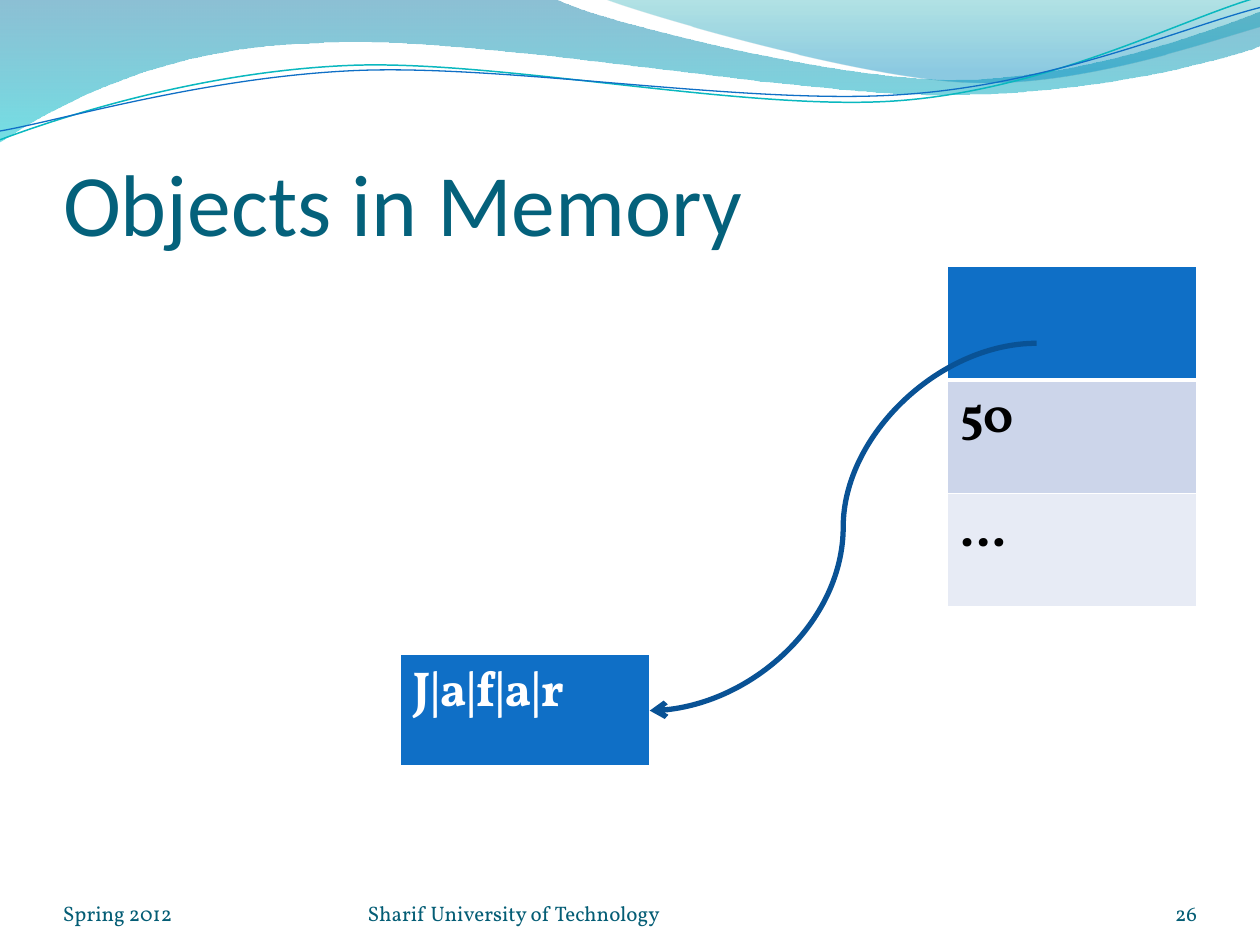
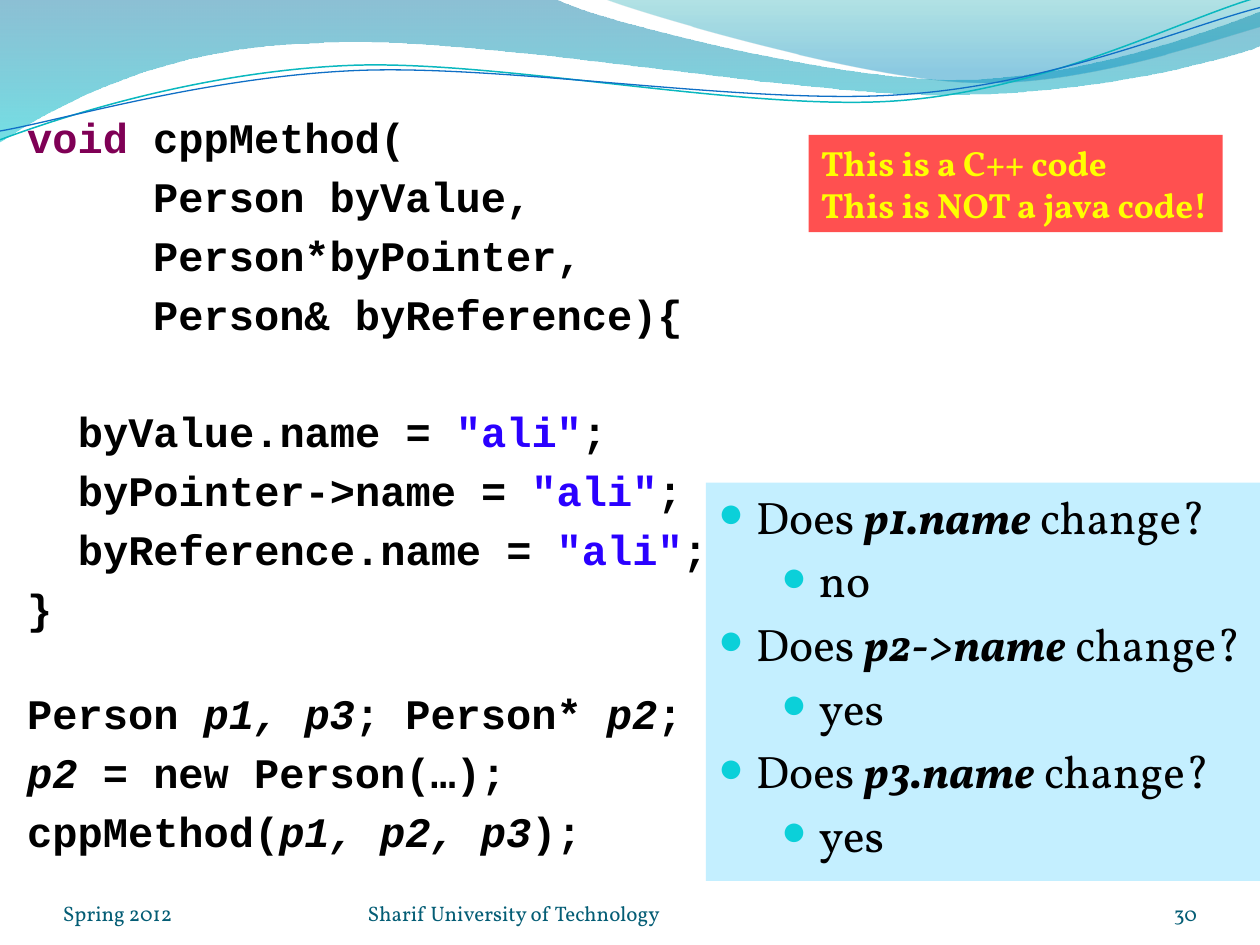
from dataclasses import dataclass

import pptx
import pptx.dml.color
import pptx.enum.shapes
import pptx.enum.text
import pptx.oxml
import pptx.oxml.ns
import pptx.oxml.xmlchemy
import pptx.util

Cm = pptx.util.Cm
Pt = pptx.util.Pt
ANCHOR = pptx.enum.text.MSO_ANCHOR
ALIGN = pptx.enum.text.PP_ALIGN


@dataclass(frozen=True)
class Theme:
    heading_font: str = "Calibri"
    body_font: str = "Vollkorn"
    code_font: str = "Courier New"
    title_size: int = 50
    cell_size: int = 28
    question_size: int = 26
    code_size: int = 24
    warning_size: int = 20
    footer_size: int = 12
    title: str = "04617B"
    footer: str = "045D75"
    black: str = "000000"
    white: str = "FFFFFF"
    blue: str = "0F6FC6"
    teal: str = "0AB8BF"
    arrow: str = "095295"
    bands: tuple = ("CCD5EA", "E7EBF5")
    keyword: str = "7F0055"
    literal: str = "2A00FF"
    warning_fill: str = "FF5050"
    warning_text: str = "FFFF00"
    question_fill: str = "C4EFFF"
    bullet: str = "0BD0D9"


THEME = Theme()


@dataclass(frozen=True)
class Box:
    """A rectangle in centimetres."""
    left: float
    top: float
    width: float
    height: float

    def lengths(self):
        return [Cm(v) for v in (self.left, self.top, self.width, self.height)]


PAGE = Box(0, 0, 25.4, 19.05)
TITLE = Box(1.27, 1.95, 22.86, 3.18)
FOOTER = Box(1.27, 17.65, 22.86, 1.02)

# Wave outlines: a start, then steps of one point (line) or three (curve),
# measured in tenths of the page width.
WAVE_FILLS = [
    ([(0, 0),
      [(4.4, -0.01)],
      [(4.76, 0.17), (6.64, 0.63), (7.58, 0.63)],
      [(8.53, 0.63), (9.58, 0.26), (10, 0.09)],
      [(10.01, 0.36)],
      [(9.83, 0.44), (8.7, 0.76), (7.46, 0.75)],
      [(6.22, 0.75), (3.82, 0.28), (2.57, 0.34)],
      [(1.29, 0.36), (0.46, 0.83), (-0.01, 1.13)],
      [(0, 0)]],
     [(0, "0074A1", 45), (1, "00C6CF", 55)]),
    ([(4.79, -0.01),
      [(5.09, 0.11), (6.82, 0.62), (7.69, 0.65)],
      [(8.56, 0.69), (9.61, 0.32), (10, 0.21)],
      [(10, 0)],
      [(4.79, -0.01)]],
     [(0, "00A1A9", 30), (0.8, "008BBF", 45)]),
]
WAVE_LINES = [
    ([(0, 1.11),
      [(0.48, 0.93), (1.58, 0.57), (2.77, 0.52)],
      [(3.95, 0.47), (5.93, 0.89), (7.13, 0.8)],
      [(8.33, 0.71), (9.38, 0.15), (9.98, -0.02)]],
     THEME.teal, 0.85),
    ([(0, 1.04),
      [(0.47, 0.96), (1.64, 0.61), (2.83, 0.56)],
      [(4.03, 0.51), (5.97, 0.84), (7.17, 0.75)],
      [(8.36, 0.67), (9.41, 0.21), (10, 0.06)]],
     THEME.blue, 0.75),
]


def rgb(code):
    return pptx.dml.color.RGBColor.from_string(code)


def add_xml(parent, tag, **attributes):
    child = pptx.oxml.xmlchemy.OxmlElement(tag)
    for name, value in attributes.items():
        child.set(name, str(value))
    parent.append(child)
    return child


def style_span(span, font, size, color, bold=False, italic=False):
    span.font.name = font
    span.font.size = Pt(size)
    span.font.color.rgb = rgb(color)
    span.font.bold = bold
    span.font.italic = italic


def write_para(para, spans, space_before=0, indent=0, hanging=0, **style):
    """Fill para from (text, style changes) pairs."""
    para.alignment = ALIGN.LEFT
    para.space_before = Pt(space_before)
    properties = para._p.get_or_add_pPr()
    properties.set("marL", str(Cm(indent)))
    properties.set("indent", str(-Cm(hanging)))
    for text, changes in spans:
        span = para.add_run()
        span.text = text
        style_span(span, **{**style, **changes})


def paragraphs(frame, count):
    for _ in range(count - 1):
        frame.add_paragraph()
    return frame.paragraphs


def set_frame(frame, anchor, margins=None):
    frame.word_wrap = True
    frame.auto_size = pptx.enum.text.MSO_AUTO_SIZE.NONE
    frame.vertical_anchor = anchor
    if margins:
        (frame.margin_left, frame.margin_top,
         frame.margin_right, frame.margin_bottom) = [Cm(m) for m in margins]


def add_panel(page, box, fill):
    panel = page.shapes.add_shape(
        pptx.enum.shapes.MSO_SHAPE.RECTANGLE, *box.lengths())
    panel.shadow.inherit = False
    panel.fill.solid()
    panel.fill.fore_color.rgb = rgb(fill)
    panel.line.fill.background()
    set_frame(panel.text_frame, ANCHOR.TOP)
    return panel.text_frame


def bend(shape, steps):
    """Join the straight segments of each three-point step into a curve."""
    segments = iter(list(shape._element.spPr.iter(pptx.oxml.ns.qn("a:lnTo"))))
    for step in steps:
        lines = [next(segments) for _ in step]
        if len(step) == 3:
            curve = pptx.oxml.xmlchemy.OxmlElement("a:cubicBezTo")
            lines[0].addprevious(curve)
            for line in lines:
                curve.append(line[0])
                line.getparent().remove(line)


def add_outline(page, box, outline, close):
    unit = Cm(box.width) / 10
    start, *steps = outline
    points = [(Cm(box.left) + x * unit, Cm(box.top) + y * unit)
              for x, y in [start, *sum(steps, [])]]
    builder = page.shapes.build_freeform(*points[0])
    builder.add_line_segments(points[1:], close=close)
    shape = builder.convert_to_shape()
    shape.shadow.inherit = False
    bend(shape, steps)
    return shape


def add_waves(page, box):
    for outline, stops in WAVE_FILLS:
        wave = add_outline(page, box, outline, True)
        wave.line.fill.background()
        wave.fill.gradient()
        wave.fill.gradient_angle = 270
        for stop, (position, color, _) in zip(wave.fill.gradient_stops, stops):
            stop.position = position
            stop.color.rgb = rgb(color)
        colors = wave._element.spPr.iter(pptx.oxml.ns.qn("a:srgbClr"))
        for color, (_, _, opacity) in zip(list(colors), stops):
            add_xml(color, "a:alpha", val=opacity * 1000)
    for outline, color, width in WAVE_LINES:
        wave = add_outline(page, box, outline, False)
        wave.fill.background()
        wave.line.color.rgb = rgb(color)
        wave.line.width = Pt(width)


def add_footer(page, box, number):
    parts = [(0, 5.92, "Spring 2012", ALIGN.LEFT),
             (6.14, 9.32, "Sharif University of Technology", ALIGN.LEFT),
             (box.width - 2.12, 2.12, str(number), ALIGN.RIGHT)]
    for offset, width, text, alignment in parts:
        place = Box(box.left + offset, box.top, width, box.height)
        frame = page.shapes.add_textbox(*place.lengths()).text_frame
        set_frame(frame, ANCHOR.BOTTOM, (0, 0, 0, 0))
        para = frame.paragraphs[0]
        para.text = text
        para.alignment = alignment
        style_span(para.runs[0], THEME.body_font, THEME.footer_size, THEME.footer)


def add_title(page, box, text):
    title = page.shapes.title
    title.left, title.top, title.width, title.height = box.lengths()
    set_frame(title.text_frame, ANCHOR.BOTTOM, (0, 0.13, 0, 0))
    para = title.text_frame.paragraphs[0]
    para.text = text
    para.alignment = ALIGN.LEFT
    style_span(para.runs[0], THEME.heading_font, THEME.title_size, THEME.title)


def add_memory(page, box, values):
    """A column of memory cells whose first one is the header."""
    table = page.shapes.add_table(len(values), 1, *box.lengths()).table
    table.first_row = table.horz_banding = False
    for row, value in enumerate(values):
        cell = table.cell(row, 0)
        edges = {"L": 1, "R": 1, "T": 1, "B": 1 if row else 3}
        if row:
            del edges["T"]
        for side, width in edges.items():
            line = add_xml(cell._tc.get_or_add_tcPr(), f"a:ln{side}", w=Pt(width))
            add_xml(add_xml(line, "a:solidFill"), "a:srgbClr", val=THEME.white)
        cell.fill.solid()
        cell.fill.fore_color.rgb = rgb(THEME.bands[row - 1] if row else THEME.blue)
        cell.text_frame.text = value
        for span in cell.text_frame.paragraphs[0].runs:
            style_span(span, THEME.body_font, THEME.cell_size,
                       THEME.black if row else THEME.white, bold=True)


def add_pointer(page, start, end):
    pointer = page.shapes.add_connector(
        pptx.enum.shapes.MSO_CONNECTOR.CURVE, *[Cm(v) for v in start + end])
    pointer.line.color.rgb = rgb(THEME.arrow)
    pointer.line.width = Pt(3)
    add_xml(pointer.line._get_or_add_ln(), "a:tailEnd", type="arrow")
    add_xml(pointer._element.spPr, "a:effectLst")


def add_code(page, box):
    italic = {"italic": True}
    literal = ('"ali"', {"color": THEME.literal})
    gap, wide_gap, new_part = 4.8, 38.4, 31.5
    arguments, body = 2.54, 1.02
    lines = [
        (gap, 0, [("void ", {"color": THEME.keyword}), ("cppMethod(", {})]),
        (gap, arguments, [("Person byValue,", {})]),
        (gap, arguments, [("Person*byPointer,", {})]),
        (gap, arguments, [("Person& byReference){", {})]),
        (wide_gap, body, [("byValue.name = ", {}), literal, (";", {})]),
        (gap, body, [("byPointer->name = ", {}), literal, (";", {})]),
        (gap, body, [("byReference.name = ", {}), literal, (";", {})]),
        (gap, 0, [("}", {})]),
        (new_part, 0, [("Person ", {}), ("p1, p3", italic), ("; Person* ", {}),
                       ("p2", italic), (";", {})]),
        (gap, 0, [("p2", italic), (" = new Person(…);", {})]),
        (gap, 0, [("cppMethod(", {}), ("p1, p2, p3", italic), (");", {})]),
    ]
    frame = page.shapes.add_textbox(*box.lengths()).text_frame
    set_frame(frame, ANCHOR.TOP)
    for para, (space, indent, spans) in zip(paragraphs(frame, len(lines)), lines):
        write_para(para, spans, space, indent, font=THEME.code_font,
                   size=THEME.code_size, color=THEME.black, bold=True)


def add_warning(page, box):
    lines = ["This is a C++ code", "This is NOT a java code!"]
    frame = add_panel(page, box, THEME.warning_fill)
    for para, line in zip(paragraphs(frame, len(lines)), lines):
        write_para(para, [(line, {})], font=THEME.body_font,
                   size=THEME.warning_size, color=THEME.warning_text, bold=True)


def add_questions(page, box):
    answers = {"p1.name": "no", "p2->name": "yes", "p3.name": "yes"}
    emphasis = {"bold": True, "italic": True}
    lines = []
    for field, answer in answers.items():
        lines.append((0.76, [("Does ", {}), (field, emphasis), (" change?", {})]))
        lines.append((2.03, [(answer, {})]))
    frame = add_panel(page, box, THEME.question_fill)
    for para, (indent, spans) in zip(paragraphs(frame, len(lines)), lines):
        write_para(para, spans, 5.2, indent, 0.76, font=THEME.body_font,
                   size=THEME.question_size, color=THEME.black)
        properties = para._p.get_or_add_pPr()
        add_xml(add_xml(properties, "a:buClr"), "a:srgbClr", val=THEME.bullet)
        add_xml(properties, "a:buSzPct", val=95000)
        add_xml(properties, "a:buFont", typeface=THEME.code_font)
        add_xml(properties, "a:buChar", char="●")


def add_page(deck, layout, number):
    page = deck.slides.add_slide(deck.slide_layouts[layout])
    add_waves(page, PAGE)
    add_footer(page, FOOTER, number)
    return page


def memory_page(deck):
    page = add_page(deck, 5, 26)
    add_title(page, TITLE, "Objects in Memory")
    cell_height = 2.29
    stack = Box(19.1, 5.37, 5.03, 3 * cell_height)
    name = Box(8.07, 13.18, 5.03, cell_height)
    add_memory(page, stack, ["", "50", "…"])
    add_memory(page, name, ["J|a|f|a|r"])
    add_pointer(page, (stack.left + 1.8, stack.top + 1.55),
                (name.left + name.width, name.top + name.height / 2))


def parameters_page(deck):
    page = add_page(deck, 6, 30)
    add_code(page, Box(0.3, 2.13, 14.83, 15.65))
    add_warning(page, Box(16.3, 2.72, 8.35, 1.96))
    add_questions(page, Box(14.23, 9.73, 11.28, 8.03))


def main():
    deck = pptx.Presentation()
    deck.slide_width, deck.slide_height = Cm(PAGE.width), Cm(PAGE.height)
    memory_page(deck)
    parameters_page(deck)
    deck.save("out.pptx")


if __name__ == "__main__":
    main()
